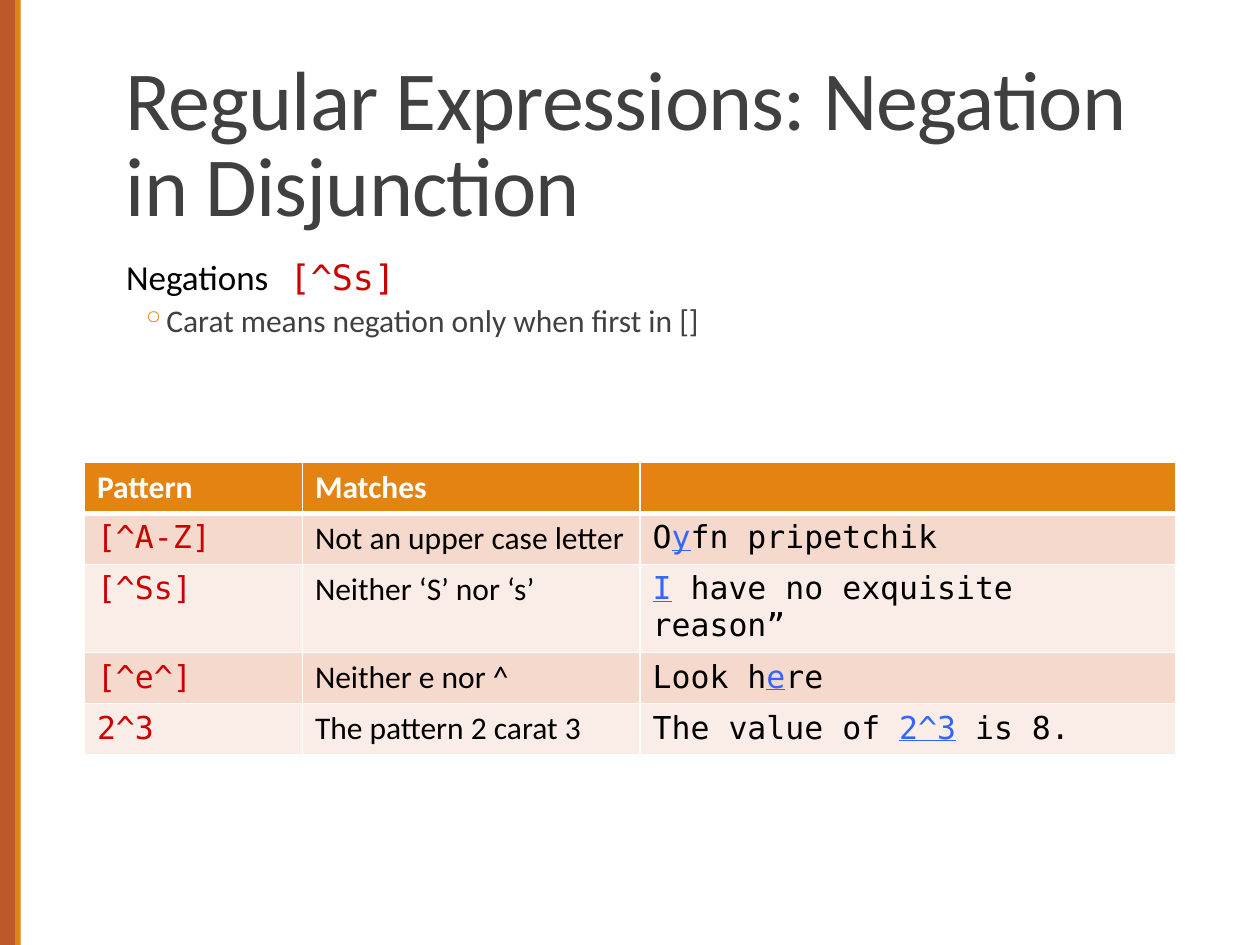
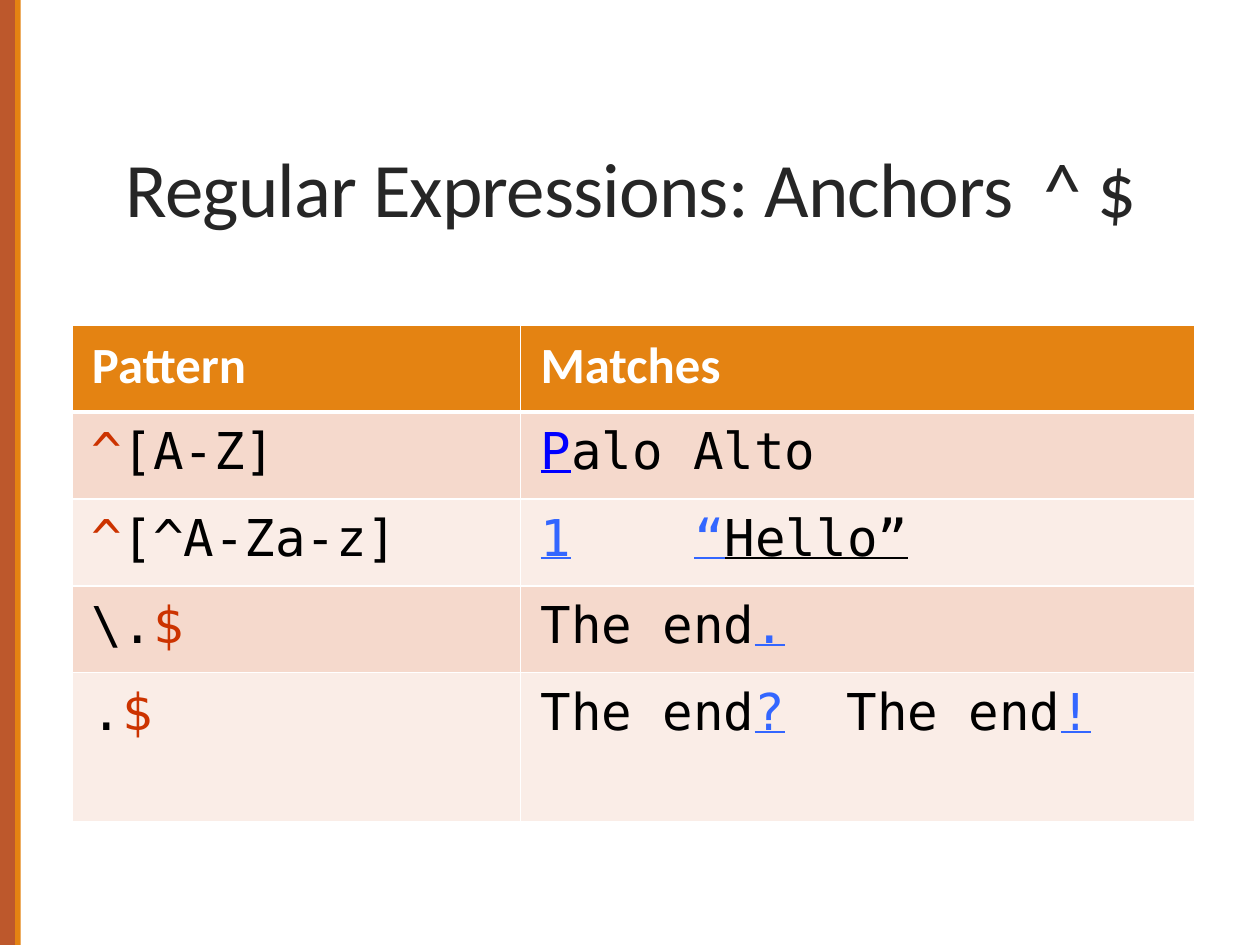
from collections import namedtuple

from lxml import etree
from pptx import Presentation
from pptx.dml.color import RGBColor
from pptx.enum.shapes import MSO_SHAPE
from pptx.enum.text import MSO_ANCHOR
from pptx.oxml.ns import qn
from pptx.util import Inches, Pt

WIDTH, HEIGHT = Inches(10), Inches(7.5)
COL, ROW = WIDTH / 100, HEIGHT / 75

SANS, MONO = "Calibri", "DejaVu Sans Mono"

RUST = RGBColor(0xBD, 0x58, 0x2C)
ORANGE = RGBColor(0xE4, 0x83, 0x12)
BANDS = RGBColor(0xF5, 0xD9, 0xCC), RGBColor(0xFA, 0xED, 0xE7)
WHITE = RGBColor(0xFF, 0xFF, 0xFF)
BLACK = RGBColor(0x00, 0x00, 0x00)
DARK = RGBColor(0x26, 0x26, 0x26)
GRAY = RGBColor(0x40, 0x40, 0x40)
RED = RGBColor(0xCC, 0x00, 0x00)
BRICK = RGBColor(0xCC, 0x33, 0x00)
BLUE = RGBColor(0x33, 0x66, 0xFF)
PURE_BLUE = RGBColor(0x00, 0x00, 0xFF)

Style = namedtuple("Style", "font color bold underline", defaults=(False, False))
HEADER = Style(SANS, WHITE, bold=True)
PLAIN = Style(SANS, BLACK)
NOTE = Style(SANS, GRAY)
CODE = Style(MONO, BLACK)
PATTERN = Style(MONO, RED)
ANCHOR = Style(MONO, BRICK)
MATCH = Style(MONO, BLUE, underline=True)
FIRST_MATCH = Style(MONO, PURE_BLUE, underline=True)
UNDERLINED = Style(MONO, BLACK, underline=True)

NEGATION_ROWS = [
    [[("Pattern", HEADER)], [("Matches", HEADER)], []],
    [[("[^A-Z]", PATTERN)], [("Not an upper case letter", PLAIN)],
     [("O", CODE), ("y", MATCH), ("fn pripetchik", CODE)]],
    [[("[^Ss]", PATTERN)], [("Neither ‘S’ nor ‘s’", PLAIN)],
     [("I", MATCH), (" have no exquisite reason”", CODE)]],
    [[("[^e^]", PATTERN)], [("Neither e nor ^", PLAIN)],
     [("Look h", CODE), ("e", MATCH), ("re", CODE)]],
    [[("2^3", PATTERN)], [("The pattern 2 carat 3", PLAIN)],
     [("The value of ", CODE), ("2^3", MATCH), (" is 8.", CODE)]],
]

ANCHOR_ROWS = [
    [[("Pattern", HEADER)], [("Matches", HEADER)]],
    [[("^", ANCHOR), ("[A-Z]", CODE)],
     [("P", FIRST_MATCH), ("alo Alto", CODE)]],
    [[("^", ANCHOR), ("[^A-Za-z]", CODE)],
     [("1", MATCH), ("\t", CODE), ("“", MATCH), ("Hello”", UNDERLINED)]],
    [[("\\.", CODE), ("$", ANCHOR)],
     [("The end", CODE), (".", MATCH)]],
    [[(".", CODE), ("$", ANCHOR)],
     [("The end", CODE), ("?", MATCH), ("\t", CODE), ("The end", CODE), ("!", MATCH)]],
]


def box(left, top, width, height):
    """Turn grid columns and rows into slide lengths."""
    return int(left * COL), int(top * ROW), int(width * COL), int(height * ROW)


def add_runs(p, runs, size):
    for text, style in runs:
        r = p.add_run()
        r.text = text
        font = r.font
        font.name, font.size = style.font, Pt(size)
        font.bold, font.underline = style.bold, style.underline
        font.color.rgb = style.color


def add_tab_stops(p, stops):
    """Set left tab stops, given in grid columns from the start of the text."""
    tabs = etree.SubElement(p._p.get_or_add_pPr(), qn("a:tabLst"))
    for stop in stops:
        etree.SubElement(tabs, qn("a:tab"), pos=str(int(stop * COL)), algn="l")


def set_spacing(p, line, before=0, after=0):
    p.line_spacing = line
    p.space_before, p.space_after = Pt(before), Pt(after)


def set_indent(p, margin, hanging=0):
    pPr = p._p.get_or_add_pPr()
    pPr.set("marL", str(int(margin * COL)))
    pPr.set("indent", str(int(-hanging * COL)))


def add_bullet(p, char, color):
    pPr = p._p.get_or_add_pPr()
    bullet_color = etree.SubElement(pPr, qn("a:buClr"))
    etree.SubElement(bullet_color, qn("a:srgbClr"), val=str(color))
    etree.SubElement(pPr, qn("a:buChar"), char=char)


def add_text_frame(slide, *place):
    tf = slide.shapes.add_textbox(*box(*place)).text_frame
    tf.word_wrap = True
    return tf


def add_band(slide, left, width, color):
    sp = slide.shapes.add_shape(MSO_SHAPE.RECTANGLE, *box(left, 0, width, 75))
    sp.shadow.inherit = False
    sp.fill.solid()
    sp.fill.fore_color.rgb = color
    sp.line.fill.background()


def add_title(slide, text, size, color, tab_stops=()):
    tf = add_text_frame(slide, 9, 3.1, 82.5, 15.9)
    tf.vertical_anchor = MSO_ANCHOR.BOTTOM
    p = tf.paragraphs[0]
    set_spacing(p, 0.85)
    if tab_stops:
        add_tab_stops(p, tab_stops)
    add_runs(p, [(text, Style(SANS, color))], size)
    for r in p.runs:
        r._r.get_or_add_rPr().set("spc", "-50")


def add_negation_text(slide):
    tf = add_text_frame(slide, 9, 20.2, 82.5, 44)
    tf.margin_left = tf.margin_right = 0
    p = tf.paragraphs[0]
    set_indent(p, 1)
    set_spacing(p, 0.9, 12, 2)
    add_runs(p, [("Negations", PLAIN), (" [^Ss]", PATTERN)], 20)
    p = tf.add_paragraph()
    set_indent(p, 4.2, 2)
    set_spacing(p, 0.9, 2, 4)
    add_bullet(p, "◦", ORANGE)
    add_runs(p, [("Carat means negation only when first in []", NOTE)], 18)


def set_borders(cell, row):
    """Draw white borders, with a thick one under the header row."""
    widths = {"L": 1, "R": 1, "T": 3 if row == 1 else 1, "B": 3 if row == 0 else 1}
    tcPr = cell._tc.get_or_add_tcPr()
    for side, width in widths.items():
        ln = etree.SubElement(tcPr, qn(f"a:ln{side}"), w=str(Pt(width)))
        fill = etree.SubElement(ln, qn("a:solidFill"))
        etree.SubElement(fill, qn("a:srgbClr"), val=str(WHITE))


def add_pattern_table(slide, left, top, widths, heights, rows, size, insets=(1, 0.5)):
    place = box(left, top, sum(widths), sum(heights))
    table = slide.shapes.add_table(len(rows), len(widths), *place).table
    for column, width in zip(table.columns, widths):
        column.width = int(width * COL)
    for i, (height, row) in enumerate(zip(heights, rows)):
        table.rows[i].height = int(height * ROW)
        for j, runs in enumerate(row):
            cell = table.cell(i, j)
            cell.margin_left = cell.margin_right = int(insets[0] * COL)
            cell.margin_top = cell.margin_bottom = int(insets[1] * ROW)
            set_borders(cell, i)
            cell.fill.solid()
            cell.fill.fore_color.rgb = BANDS[(i - 1) % 2] if i else ORANGE
            add_runs(cell.text_frame.paragraphs[0], runs, size)
    return table


def add_slide(prs):
    """Add a blank slide with the two bands on its left edge."""
    slide = prs.slides.add_slide(prs.slide_layouts[6])
    add_band(slide, 0, 1.2, RUST)
    add_band(slide, 1.2, 0.45, ORANGE)
    return slide


def add_negation_slide(prs):
    slide = add_slide(prs)
    add_title(slide, "Regular Expressions: Negation in Disjunction", 48, GRAY)
    add_negation_text(slide)
    add_pattern_table(slide, 6.7, 36.7, [17.3, 26.8, 42.5], [4.05] * 5,
                      NEGATION_ROWS, 18)


def add_anchor_slide(prs):
    slide = add_slide(prs)
    add_title(slide, "Regular Expressions: Anchors\t^ $", 44, DARK, [72.8])
    table = add_pattern_table(slide, 5.7, 25.8, [35.6, 53.5], [6.9] * 4 + [11.8],
                              ANCHOR_ROWS, 29, (1.6, 0.8))
    for row, stop in ((2, 12.2), (4, 24.3)):
        add_tab_stops(table.cell(row, 1).text_frame.paragraphs[0], [stop])


def main():
    prs = Presentation()
    prs.slide_width, prs.slide_height = WIDTH, HEIGHT
    add_negation_slide(prs)
    add_anchor_slide(prs)
    prs.save("out.pptx")


if __name__ == "__main__":
    main()
